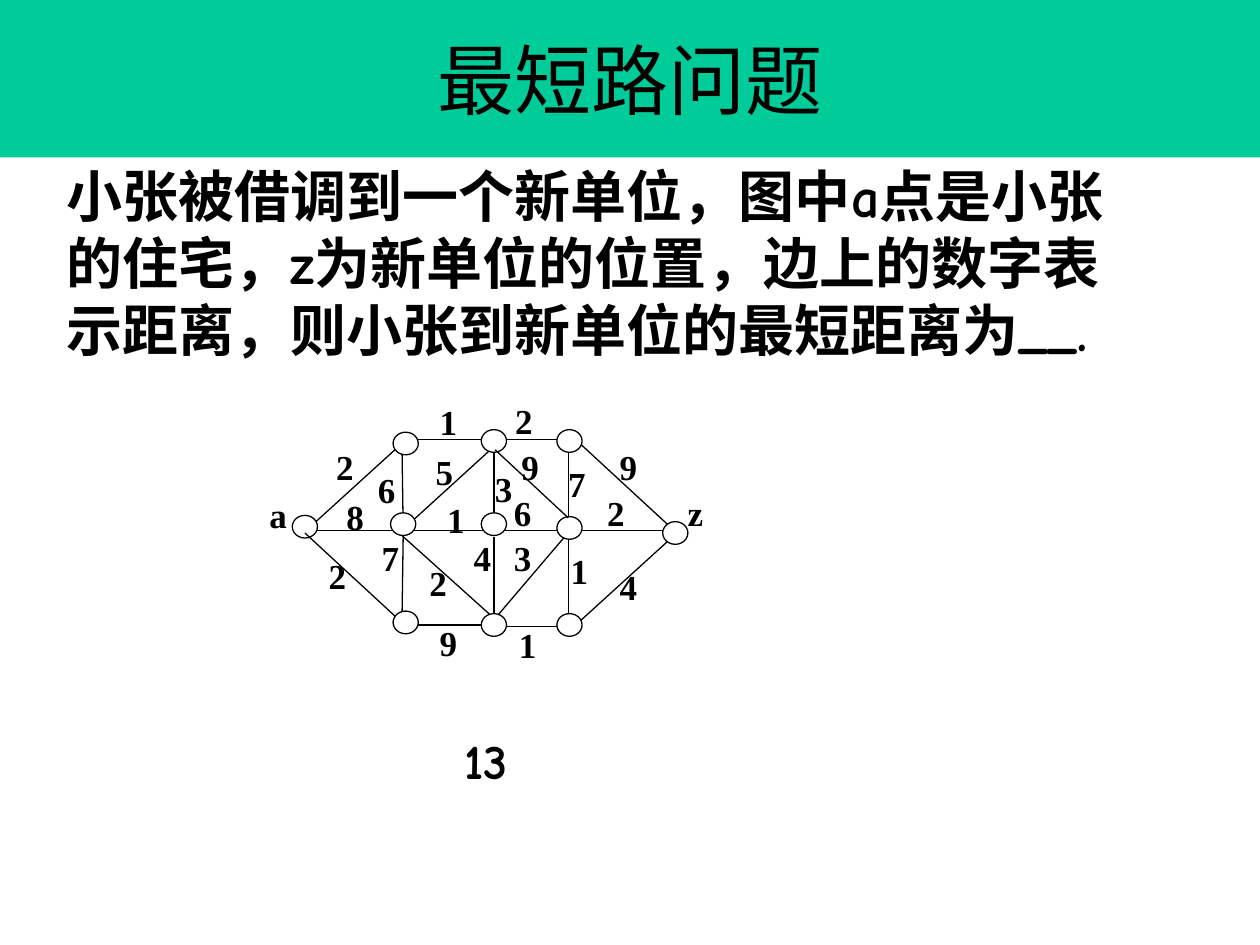
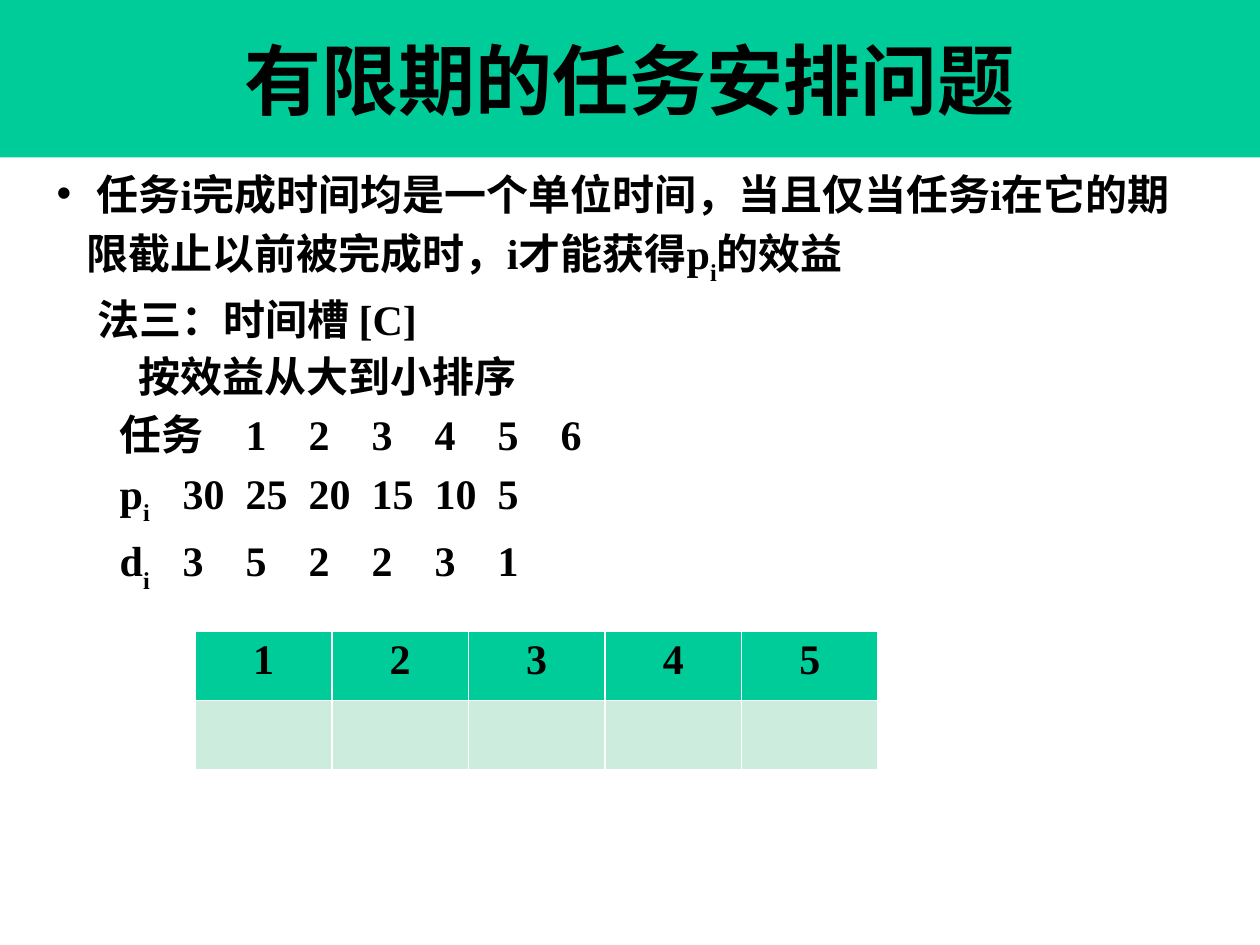
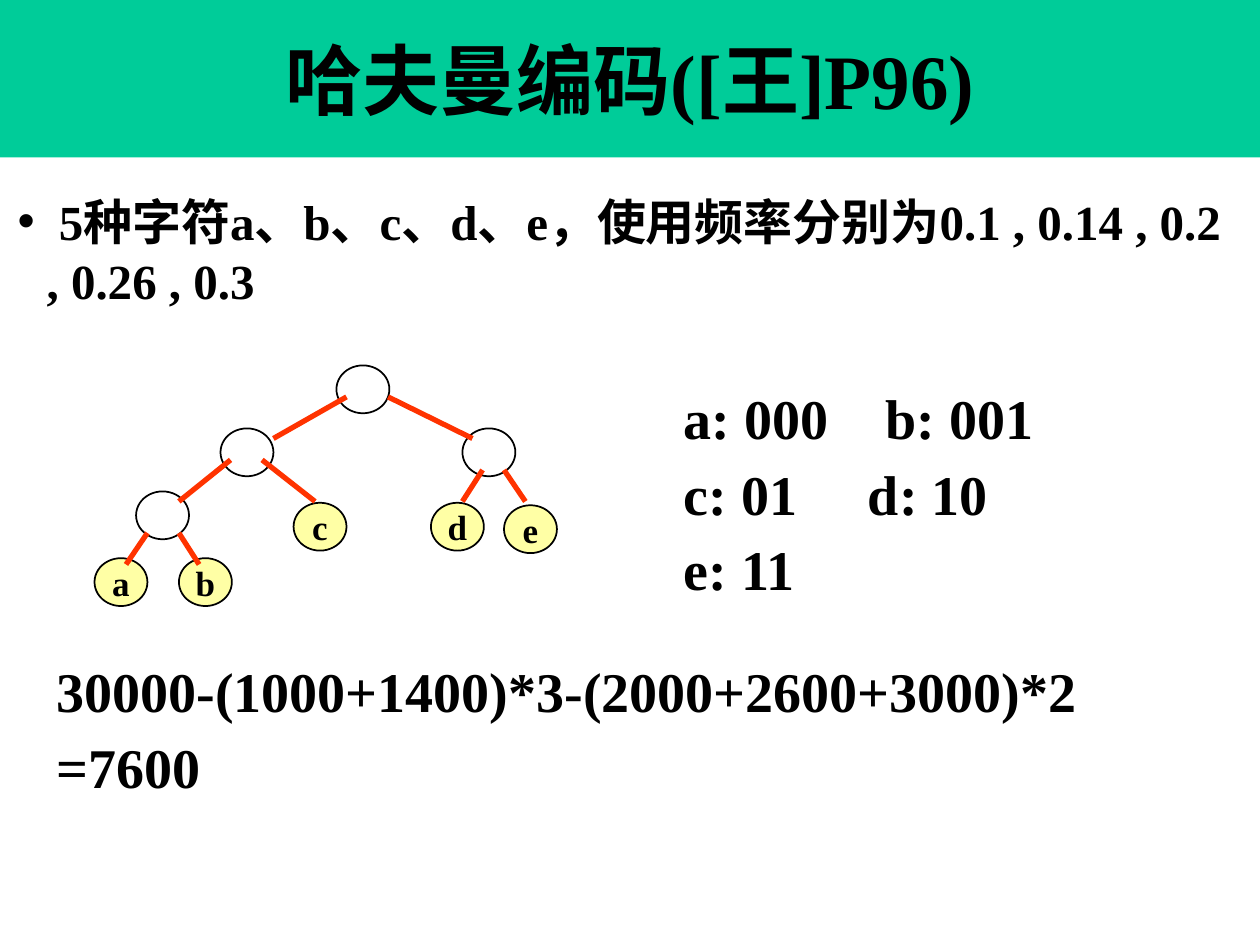
from lxml import etree
from pptx import Presentation
from pptx.dml.color import RGBColor
from pptx.enum.shapes import MSO_CONNECTOR, MSO_SHAPE
from pptx.enum.text import MSO_ANCHOR, MSO_AUTO_SIZE, PP_ALIGN
from pptx.oxml.ns import qn
from pptx.util import Inches, Pt

# Shared look
GREEN = RGBColor(0x00, 0xCC, 0x99)
PALE_GREEN = RGBColor(0xCC, 0xEC, 0xDE)
YELLOW = RGBColor(0xFF, 0xFF, 0xA5)
RED = RGBColor(0xFF, 0x33, 0x00)
BLACK = RGBColor(0, 0, 0)
WHITE = RGBColor(0xFF, 0xFF, 0xFF)
SERIF = "Times New Roman"
COMIC = "Comic Neue"
BULLET_LAYOUT, TITLE_LAYOUT = 1, 5

# Shortest-path graph: circle corners, edges and (text, left, top) labels
CIRCLE_SIZE = (0.2, 0.18)
INNER_CIRCLES = [(3.1, 4.07), (3.82, 3.41), (3.82, 4.07), (4.42, 4.1), (2.32, 4.09)]
OUTER_CIRCLES = [(3.12, 3.43), (4.42, 3.41), (5.26, 4.14),
                 (3.12, 4.85), (3.82, 4.87), (4.42, 4.87)]
EDGES = [
    (2.41, 4.21, 5.35, 4.21), (3.86, 4.99, 4.55, 4.18),
    (3.19, 3.49, 3.98, 3.49), (3.98, 3.49, 3.19, 4.21),
    (3.19, 3.49, 3.2, 4.21), (3.92, 3.49, 3.92, 4.2),
    (3.92, 3.49, 4.51, 3.49), (4.51, 3.49, 4.51, 4.2),
    (3.2, 3.51, 2.42, 4.22), (4.57, 3.49, 5.35, 4.21),
    (3.19, 4.96, 3.98, 4.96), (3.98, 4.96, 3.19, 4.25),
    (3.19, 4.96, 3.2, 4.25), (3.92, 4.97, 3.92, 4.26),
    (3.92, 4.97, 4.51, 4.97), (4.51, 4.97, 4.51, 4.26),
    (4.57, 4.96, 5.35, 4.25),
]
FRONT_EDGES = [(3.93, 3.57, 4.51, 4.11), (3.2, 4.95, 2.42, 4.23)]
GRAPH_LABELS = [
    ("a", 2.04, 3.87), ("z", 5.36, 3.85),
    ("2", 2.57, 3.49), ("1", 3.39, 3.13), ("2", 3.99, 3.12), ("9", 4.82, 3.49),
    ("2", 4.72, 3.85), ("6", 2.9, 3.67), ("8", 2.65, 3.88), ("2", 2.51, 4.35),
    ("7", 2.93, 4.21), ("9", 3.39, 4.88), ("5", 3.36, 3.53), ("1", 3.45, 3.91),
    ("2", 3.31, 4.41), ("4", 3.66, 4.21), ("3", 3.98, 4.21), ("1", 4.02, 4.9),
    ("1", 4.43, 4.31), ("4", 4.82, 4.44), ("9", 4.04, 3.49), ("7", 4.41, 3.62),
    ("3", 3.83, 3.66), ("6", 3.98, 3.85),
]

# Task columns: centred tab stops after the row label
TASK_TABS = [1.66, 2.25, 2.83, 3.42, 4.08, 4.66]
TASK_ROWS = [
    (0.46, "任务", [1, 2, 3, 4, 5, 6]),
    (0.58, "p|i|", [30, 25, 20, 15, 10, 5]),
    (0.58, "d|i|", [3, 5, 2, 2, 3, 1]),
]

# Huffman tree
TREE_CIRCLE_SIZE = (0.42, 0.38)
LEAVES = [("a", 0.75, 4.43), ("b", 1.42, 4.43), ("c", 2.33, 3.99),
          ("d", 3.42, 3.99), ("e", 4, 4.01)]
INNER_NODES = [(1.08, 3.9), (3.67, 3.4), (1.75, 3.4), (2.67, 2.9)]
BRANCHES = [
    (2.75, 3.15, 2.17, 3.48), (3.08, 3.15, 3.75, 3.48),
    (1.83, 3.65, 1.42, 3.98), (2.08, 3.65, 2.5, 3.98),
    (1.17, 4.23, 1, 4.48), (1.42, 4.23, 1.58, 4.48),
    (3.83, 3.73, 3.67, 3.98), (4, 3.73, 4.17, 3.98),
]


def place(shape, left, top, width, height):
    shape.left, shape.top = Inches(left), Inches(top)
    shape.width, shape.height = Inches(width), Inches(height)


def format_runs(paragraph, size, name=SERIF, bold=True):
    for run in paragraph.runs:
        font = run.font
        font.size, font.name, font.bold = Pt(size), name, bold
        font.color.rgb = BLACK


def write(paragraph, text, size):
    """Write text in which every second part between bars is a subscript."""
    for index, part in enumerate(text.split("|")):
        if part:
            run = paragraph.add_run()
            run.text = part
            if index % 2:
                run._r.get_or_add_rPr().set("baseline", "-30000")
    format_runs(paragraph, size)


def set_indent(paragraph, margin, bullet=False):
    properties = paragraph._p.get_or_add_pPr()
    properties.set("marL", str(Inches(margin)))
    properties.set("indent", str(-Inches(margin) if bullet else 0))
    if bullet:
        etree.SubElement(properties, qn("a:buChar")).set("char", "•")
    else:
        etree.SubElement(properties, qn("a:buNone"))


def set_tabs(paragraph, stops):
    tab_list = etree.SubElement(paragraph._p.get_or_add_pPr(), qn("a:tabLst"))
    for position, alignment in stops:
        tab = etree.SubElement(tab_list, qn("a:tab"))
        tab.set("pos", str(Inches(position)))
        tab.set("algn", alignment)


def add_titled_slide(presentation, title_text, layout, bold=True):
    slide = presentation.slides.add_slide(presentation.slide_layouts[layout])
    title = slide.shapes.title
    place(title, 0, 0, 10, 1.25)
    title.fill.solid()
    title.fill.fore_color.rgb = GREEN
    frame = title.text_frame
    frame.text = title_text
    frame.auto_size = MSO_AUTO_SIZE.NONE
    frame.vertical_anchor = MSO_ANCHOR.MIDDLE
    frame.paragraphs[0].alignment = PP_ALIGN.CENTER
    format_runs(frame.paragraphs[0], 44, bold=bold)
    return slide


def prepare_body(slide, left, top, width, height):
    body = slide.placeholders[1]
    place(body, left, top, width, height)
    body.text_frame.auto_size = MSO_AUTO_SIZE.NONE
    return body.text_frame


def add_body_paragraph(frame, text, size, margin=0, bullet=False, tabs=(), spacing=1.0):
    paragraph = frame.paragraphs[0]
    if paragraph.runs:
        paragraph = frame.add_paragraph()
    paragraph.space_before = Pt(0)
    paragraph.line_spacing = spacing
    set_indent(paragraph, margin, bullet)
    if tabs:
        set_tabs(paragraph, tabs)
    write(paragraph, text, size)


def add_text(shapes, text, left, top, width, height, size, name=SERIF, wrap=True,
             alignment=PP_ALIGN.LEFT):
    box = shapes.add_textbox(Inches(left), Inches(top), Inches(width), Inches(height))
    box.text_frame.word_wrap = wrap
    paragraph = box.text_frame.paragraphs[0]
    paragraph.text = text
    paragraph.alignment = alignment
    format_runs(paragraph, size, name)


def add_lines(shapes, lines, left, top, width, height, tabs):
    """Add large lines, each with its own tab stop or None."""
    box = shapes.add_textbox(Inches(left), Inches(top), Inches(width), Inches(height))
    frame = box.text_frame
    frame.word_wrap = True
    frame.margin_top = Inches(0.1)
    for index, (text, tab) in enumerate(zip(lines, tabs)):
        paragraph = frame.add_paragraph() if index else frame.paragraphs[0]
        if index:
            paragraph.space_before = Pt(5)
        if tab:
            set_tabs(paragraph, [(tab, "l")])
        write(paragraph, text, 32)


def add_circle(shapes, left, top, size, line_width, fill=WHITE, text=""):
    width, height = size
    circle = shapes.add_shape(MSO_SHAPE.OVAL, Inches(left), Inches(top),
                              Inches(width), Inches(height))
    circle.shadow.inherit = False
    circle.fill.solid()
    circle.fill.fore_color.rgb = fill
    circle.line.color.rgb = BLACK
    circle.line.width = Pt(line_width)
    if text:
        frame = circle.text_frame
        frame.margin_left = frame.margin_right = 0
        frame.margin_top = frame.margin_bottom = 0
        frame.text = text
        frame.vertical_anchor = MSO_ANCHOR.MIDDLE
        frame.paragraphs[0].alignment = PP_ALIGN.CENTER
        format_runs(frame.paragraphs[0], 20)


def add_line(shapes, ends, color, width):
    line = shapes.add_connector(MSO_CONNECTOR.STRAIGHT, *[Inches(end) for end in ends])
    line.line.color.rgb = color
    line.line.width = Pt(width)
    etree.SubElement(line._element.spPr, qn("a:effectLst"))


def add_slot_table(slide):
    columns = 5
    table = slide.shapes.add_table(2, columns, Inches(1.55), Inches(5.01),
                                   Inches(5.42), Inches(1.1)).table
    for row, fill in enumerate((GREEN, PALE_GREEN)):
        for column in range(columns):
            cell = table.cell(row, column)
            cell.fill.solid()
            cell.fill.fore_color.rgb = fill
            if row == 0:
                cell.text = str(column + 1)
                paragraph = cell.text_frame.paragraphs[0]
                paragraph.alignment = PP_ALIGN.CENTER
                format_runs(paragraph, 24)


def build_shortest_path(presentation):
    slide = add_titled_slide(presentation, "最短路问题", TITLE_LAYOUT, bold=False)
    add_text(slide.shapes,
             "小张被借调到一个新单位，图中a点是小张\v的住宅，z为新单位的位置，边上的数字表\v"
             "示距离，则小张到新单位的最短距离为__.",
             0.43, 1.23, 9, 1.7, 32, COMIC)
    graph = slide.shapes.add_group_shape().shapes
    for edges, circles in ((EDGES, INNER_CIRCLES), (FRONT_EDGES, OUTER_CIRCLES)):
        for edge in edges:
            add_line(graph, edge, BLACK, 0.75)
        for left, top in circles:
            add_circle(graph, left, top, CIRCLE_SIZE, 0.75)
    for text, left, top in GRAPH_LABELS:
        add_text(graph, text, left, top, 0.39, 0.54, 20)
    add_text(slide.shapes, "13", 3.55, 5.75, 0.61, 0.5, 28, COMIC, wrap=False,
             alignment=PP_ALIGN.CENTER)


def build_task_schedule(presentation):
    slide = add_titled_slide(presentation, "有限期的任务安排问题", BULLET_LAYOUT)
    frame = prepare_body(slide, 0.35, 1.23, 9.06, 3.32)
    spacing = 1.14
    add_body_paragraph(
        frame, " 任务i完成时间均是一个单位时间，当且仅当任务i在它的期限截止以前被完成时，"
        "i才能获得p|i|的效益", 24, 0.24, bullet=True, spacing=spacing)
    add_body_paragraph(frame, "法三：时间槽 [C]", 24, 0.32, spacing=spacing)
    add_body_paragraph(frame, "按效益从大到小排序", 24, 0.65, spacing=spacing)
    for label_tab, label, values in TASK_ROWS:
        tabs = [(label_tab, "l")] + [(position, "ctr") for position in TASK_TABS]
        text = "\t" + "\t".join([label] + [str(value) for value in values])
        add_body_paragraph(frame, text, 24, tabs=tabs, spacing=spacing)
    add_slot_table(slide)


def build_huffman(presentation):
    slide = add_titled_slide(presentation, "哈夫曼编码([王]P96)", BULLET_LAYOUT)
    frame = prepare_body(slide, 0.04, 1.47, 9.84, 1.04)
    add_body_paragraph(
        frame, " 5种字符a、b、c、d、e，使用频率分别为0.1 , 0.14 , 0.2 , 0.26 , 0.3",
        28, 0.23, bullet=True)
    tree = slide.shapes.add_group_shape().shapes
    for text, left, top in LEAVES:
        add_circle(tree, left, top, TREE_CIRCLE_SIZE, 1, YELLOW, text)
    for left, top in INNER_NODES:
        add_circle(tree, left, top, TREE_CIRCLE_SIZE, 1)
    for branch in BRANCHES:
        add_line(tree, branch, RED, 3)
    # Codes and the saving they give
    add_lines(slide.shapes, ["a: 000\tb: 001", "c: 01\td: 10", "e: 11"],
              5.33, 2.94, 4.42, 1.81, [1.6, 1.46, None])
    add_lines(slide.shapes, ["30000-(1000+1400)*3-(2000+2600+3000)*2", "=7600"],
              0.35, 5.11, 9.21, 1.23, [None, None])


def main():
    presentation = Presentation()
    presentation.slide_width, presentation.slide_height = Inches(10), Inches(7.5)
    build_shortest_path(presentation)
    build_task_schedule(presentation)
    build_huffman(presentation)
    presentation.save("out.pptx")


if __name__ == "__main__":
    main()
